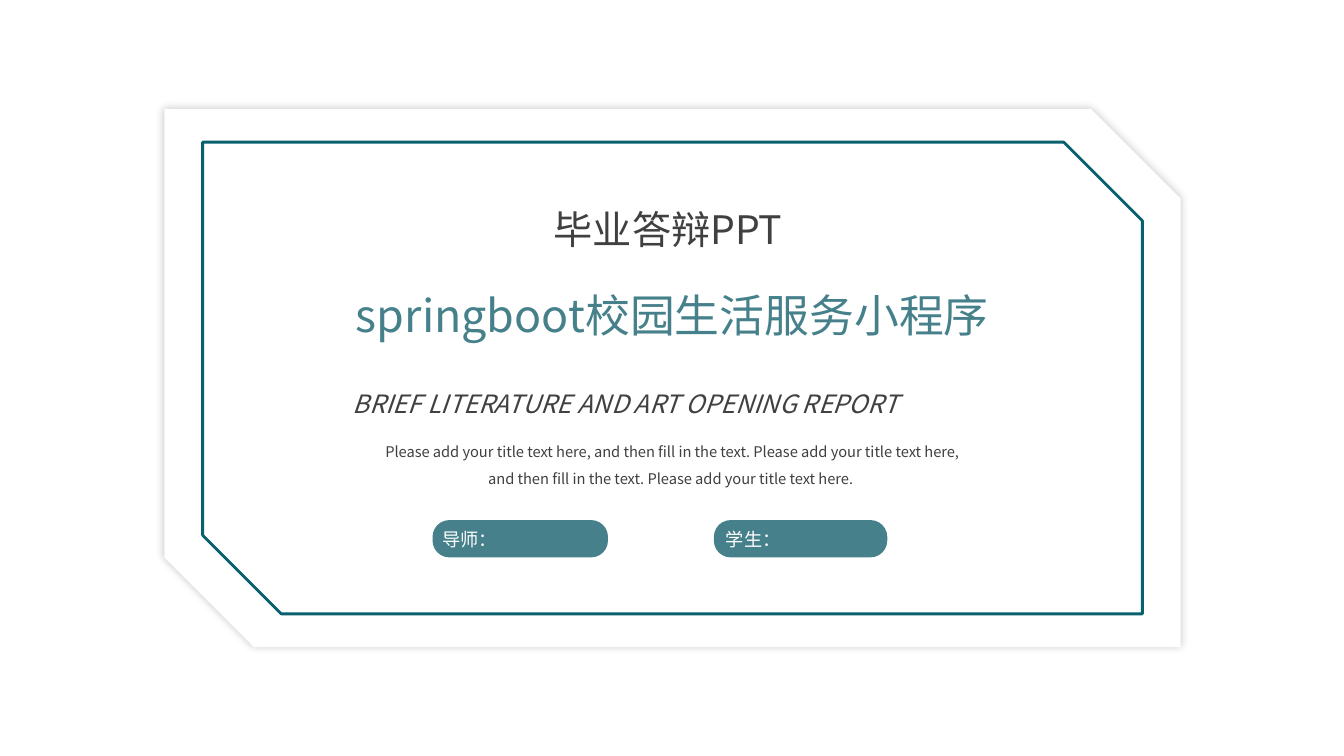
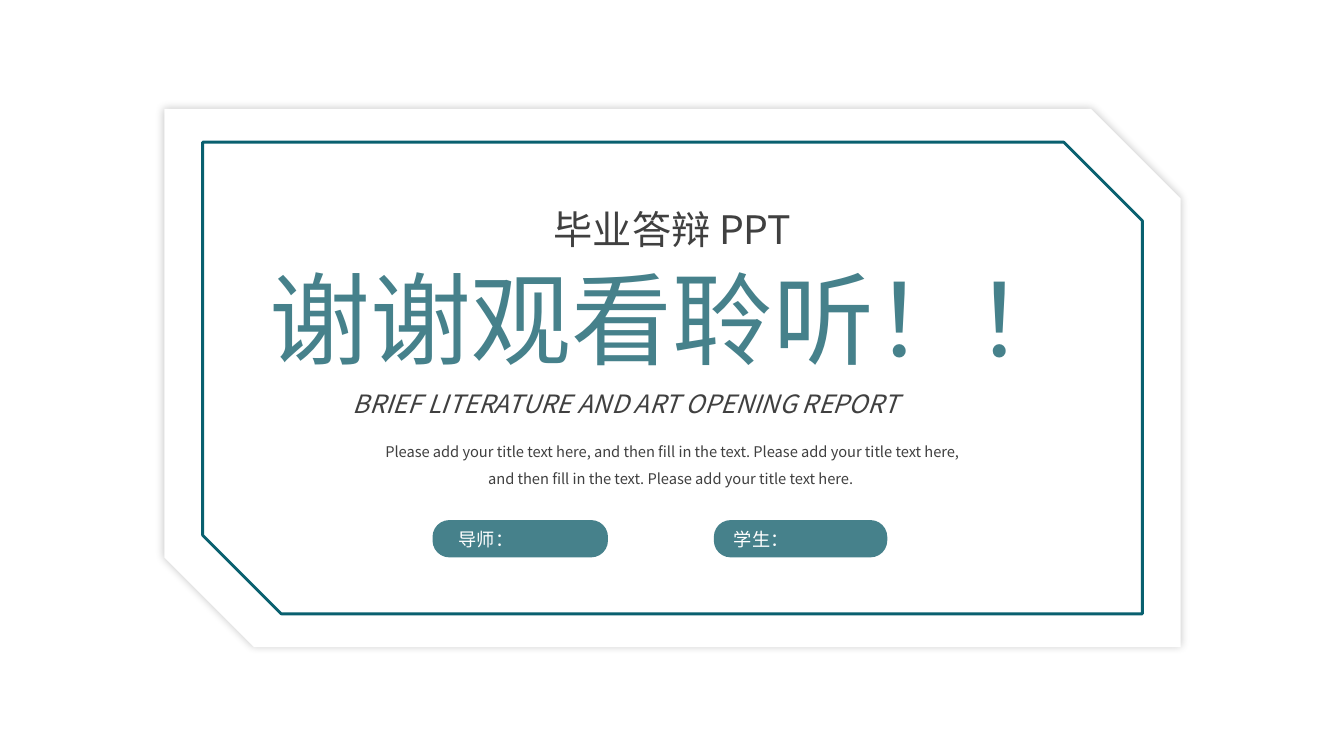
from dataclasses import dataclass

from lxml.etree import SubElement
from pptx import Presentation
from pptx.dml.color import RGBColor
from pptx.enum.shapes import MSO_SHAPE as Preset
from pptx.enum.text import MSO_ANCHOR as Anchor, MSO_AUTO_SIZE as AutoSize, PP_ALIGN as Align
from pptx.oxml.ns import qn
from pptx.shapes.autoshape import Shape
from pptx.slide import Slide
from pptx.util import Emu, Pt

PX = 9144  # EMU in one px, 100 px to the inch


@dataclass(frozen=True)
class Theme:
    font: str = "Noto Sans CJK SC"
    white: str = "FFFFFF"
    ink: str = "404040"
    teal: str = "46818B"
    frame: str = "09606F"
    shadow: str = "000000"
    thanks_size: float = 72
    topic_size: float = 32
    heading_size: float = 28
    subtitle_size: float = 18
    label_size: float = 13
    body_size: float = 10.5
    frame_width: float = 2


@dataclass(frozen=True)
class Box:
    left: int
    top: int
    width: int
    height: int

    def emu(self) -> tuple[Emu, ...]:
        return tuple(Emu(side * PX) for side in (self.left, self.top, self.width, self.height))


@dataclass(frozen=True)
class TextItem:
    text: str
    box: Box
    size: float
    color: str = Theme.ink
    align: Align = Align.CENTER
    italic: bool = False
    line_spacing: float = 1.0
    grow: bool = True


@dataclass(frozen=True)
class Page:
    heading: str
    title: TextItem
    tutor_left: int
    student_left: int


THEME = Theme()

# Parts that stand on both pages
CARD = Box(163, 108, 1008, 534)
FRAME = Box(201, 141, 932, 468)
HEADING = Box(456, 199, 422, 57)
PILLS = (Box(429, 516, 174, 37), Box(708, 516, 172, 37))
PILL_ROUNDING = 0.45
SHARED_TEXTS = (
    TextItem("BRIEF LITERATURE AND ART OPENING REPORT", Box(340, 380, 653, 40),
             THEME.subtitle_size, align=Align.JUSTIFY, italic=True),
    TextItem("Please add your title text here, and then fill in the text. "
             "Please add your title text here, and then fill in the text. "
             "Please add your title text here. ", Box(362, 426, 610, 60),
             THEME.body_size, line_spacing=1.5),
)

PAGES = (
    Page("毕业答辩PPT ",
         TextItem("springboot校园生活服务小程序", Box(186, 281, 962, 99),
                  THEME.topic_size, THEME.teal, grow=False),
         tutor_left=381, student_left=635),
    Page("毕业答辩 PPT",
         TextItem("谢谢观看聆听！！", Box(186, 250, 962, 131), THEME.thanks_size, THEME.teal),
         tutor_left=397, student_left=643),
)


def add_shape(page: Slide, preset: Preset, box: Box, fill: str | None = None,
              line: str | None = None) -> Shape:
    shape = page.shapes.add_shape(preset, *box.emu())
    shape.shadow.inherit = False
    if fill:
        shape.fill.solid()
        shape.fill.fore_color.rgb = RGBColor.from_string(fill)
    else:
        shape.fill.background()
    if line:
        shape.line.color.rgb = RGBColor.from_string(line)
        shape.line.width = Pt(THEME.frame_width)
    else:
        shape.line.fill.background()
    return shape


def add_glow_shadow(shape: Shape, blur: float, opacity: int) -> None:
    """Put a soft shadow evenly around the shape."""
    effects = shape.element.spPr.find(qn("a:effectLst"))
    shadow = SubElement(effects, qn("a:outerShdw"), blurRad=str(Pt(blur)), dist="0",
                        dir="0", algn="ctr", rotWithShape="0")
    color = SubElement(shadow, qn("a:srgbClr"), val=THEME.shadow)
    SubElement(color, qn("a:alpha"), val=str(opacity * 1000))


def add_text(page: Slide, item: TextItem) -> None:
    frame = page.shapes.add_textbox(*item.box.emu()).text_frame
    frame.word_wrap = True
    frame.vertical_anchor = Anchor.TOP
    frame.auto_size = AutoSize.SHAPE_TO_FIT_TEXT if item.grow else AutoSize.NONE
    frame.text = item.text
    para = frame.paragraphs[0]
    para.alignment = item.align
    para.line_spacing = item.line_spacing
    for span in para.runs:
        font = span.font
        font.name = THEME.font
        font.size = Pt(item.size)
        font.italic = item.italic
        font.color.rgb = RGBColor.from_string(item.color)
        SubElement(font._element, qn("a:ea"), typeface=THEME.font)


def add_page(deck: Presentation, content: Page) -> None:
    page = deck.slides.add_slide(deck.slide_layouts[6])
    page.background.fill.solid()
    page.background.fill.fore_color.rgb = RGBColor.from_string(THEME.white)

    # Card with cut corners and its inner frame
    card = add_shape(page, Preset.SNIP_2_DIAG_RECTANGLE, CARD, fill=THEME.white)
    add_glow_shadow(card, blur=6, opacity=22)
    add_shape(page, Preset.SNIP_2_DIAG_RECTANGLE, FRAME, line=THEME.frame)

    # Title, heading, subtitle and body
    heading = TextItem(content.heading, HEADING, THEME.heading_size)
    for item in (content.title, heading, *SHARED_TEXTS):
        add_text(page, item)

    # Pills for tutor and student
    labels = (("导师：", Box(content.tutor_left, 519, 170, 32)),
              ("学生：", Box(content.student_left, 519, 224, 32)))
    for pill_box, (label, label_box) in zip(PILLS, labels):
        pill = add_shape(page, Preset.ROUNDED_RECTANGLE, pill_box, fill=THEME.teal)
        pill.adjustments[0] = PILL_ROUNDING
        add_text(page, TextItem(label, label_box, THEME.label_size, THEME.white))


def main() -> None:
    deck = Presentation()
    deck.slide_width, deck.slide_height = Emu(1333 * PX), Emu(750 * PX)
    for content in PAGES:
        add_page(deck, content)
    deck.save("out.pptx")


if __name__ == "__main__":
    main()
